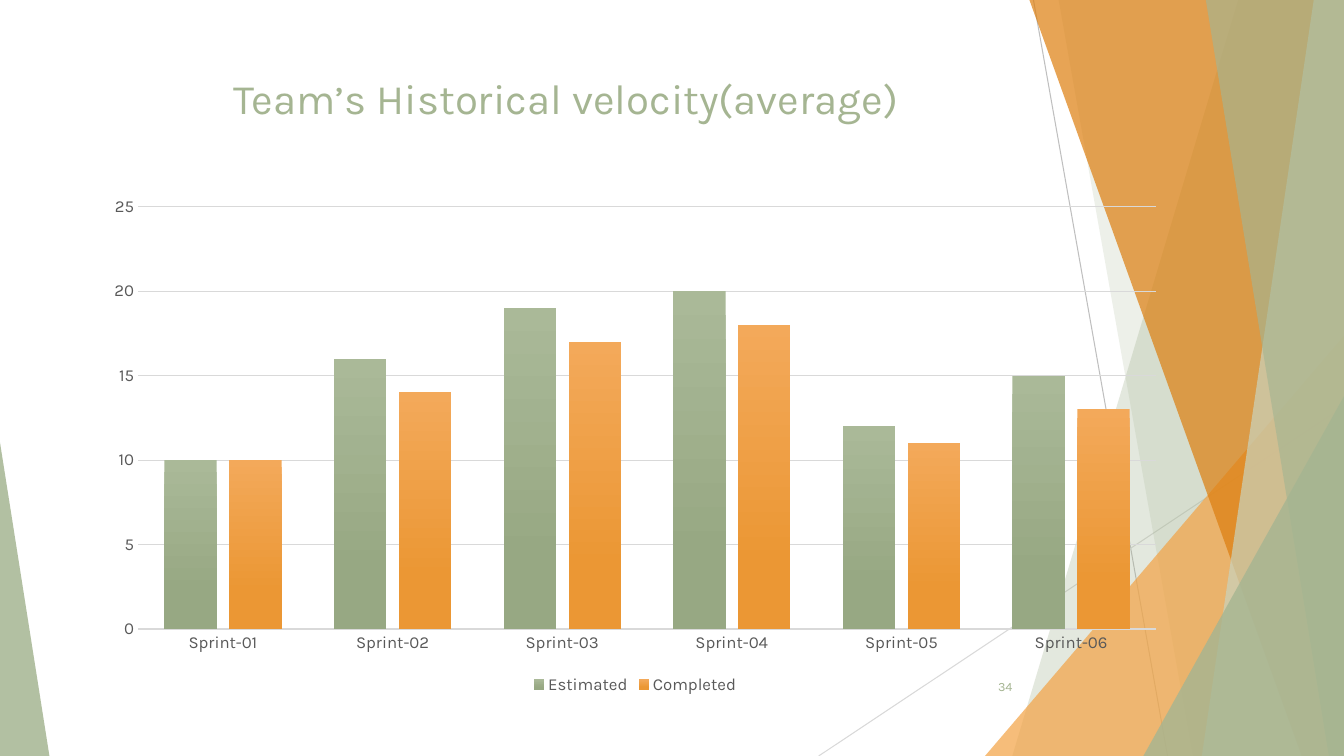
from lxml import etree
from pptx import Presentation
from pptx.chart.data import CategoryChartData
from pptx.dml.color import RGBColor
from pptx.enum import chart as ch, shapes, text
from pptx.oxml import ns
from pptx.util import Inches, Pt

FONT = "Karla"
HUES = {
    "sage": "A5B592", "mist": "C9D3BE", "amber": "F3A447", "rust": "DD7E0E",
    "gray": "BFBFBF", "pale": "D9D9D9", "ink": "595959",
}
SERIES = {
    "Estimated": ((10, 16, 19, 20, 12, 15), ("AAB998", "97A883")),
    "Completed": ((10, 14, 17, 18, 11, 13), ("F3A95A", "EB9734")),
}
WIDE, HIGH = 13.33, 7.5


def rgb(name):
    return RGBColor.from_string(HUES.get(name, name))


def style(font, size, hue):
    font.name, font.size = FONT, Pt(size)
    font.color.rgb = rgb(hue)


def paint(shape, hue, alpha):
    shape.shadow.inherit = False
    shape.fill.solid()
    shape.fill.fore_color.rgb = rgb(hue)
    shape.line.fill.background()
    color = shape.fill._xPr.find(".//" + ns.qn("a:srgbClr"))
    etree.SubElement(color, ns.qn("a:alpha"), val=str(alpha * 1000))


def add_ray(slide, start, end, hue):
    ends = [Inches(v) for v in (*start, *end)]
    ray = slide.shapes.add_connector(shapes.MSO_CONNECTOR.STRAIGHT, *ends)
    ray.line.color.rgb = rgb(hue)
    ray.line.width = Pt(0.75)
    etree.SubElement(ray._element.spPr, ns.qn("a:effectLst"))


def add_band(slide, top, foot, hue, alpha):
    build = slide.shapes.build_freeform(Inches(top), 0)
    edge = [(WIDE, 0), (WIDE, HIGH), (foot, HIGH)]
    build.add_line_segments([(Inches(x), Inches(y)) for x, y in edge])
    paint(build.convert_to_shape(), hue, alpha)


def add_wedge(slide, box, peak, hue, alpha):
    kind = shapes.MSO_SHAPE.ISOSCELES_TRIANGLE
    wedge = slide.shapes.add_shape(kind, *map(Inches, box))
    wedge.adjustments[0] = peak
    paint(wedge, hue, alpha)


def add_decor(slide):
    add_ray(slide, (10.25, 0), (11.58, HIGH), "gray")
    add_ray(slide, (WIDE, 4.03), (8.12, HIGH), "pale")
    add_band(slide, 12.28, 10.04, "sage", 30)
    add_band(slide, 10.5, 11.83, "sage", 20)
    add_wedge(slide, (9.77, 3.33, 3.56, 4.17), 1, "amber", 72)
    add_band(slide, 10.21, 12.91, "rust", 70)
    add_band(slide, 13.03, 11.92, "mist", 70)
    add_band(slide, 11.96, 13.18, "sage", 65)
    add_wedge(slide, (11.34, 3.93, 1.99, 3.57), 1, "sage", 80)
    add_wedge(slide, (0, 4.39, 0.49, 3.11), 0, "sage", 85)


def add_title(slide, box):
    title = slide.shapes.title
    title.left, title.top, title.width, title.height = map(Inches, box)
    frame = title.text_frame
    frame.text = "Team’s Historical velocity(average)"
    frame.word_wrap = True
    frame.auto_size = text.MSO_AUTO_SIZE.NONE
    frame.vertical_anchor = text.MSO_ANCHOR.TOP
    frame.margin_left = Inches(1.58)
    line = frame.paragraphs[0]
    line.alignment = text.PP_ALIGN.LEFT
    style(line.runs[0].font, 30, "sage")


def add_bars(slide, box):
    data = CategoryChartData()
    data.categories = [f"Sprint-{n:02}" for n in range(1, 7)]
    for name, (vals, _) in SERIES.items():
        data.add_series(name, vals)
    kind = ch.XL_CHART_TYPE.COLUMN_CLUSTERED
    chart = slide.shapes.add_chart(kind, *map(Inches, box), data).chart
    style(chart.font, 12, "ink")
    chart.has_title = False
    chart.has_legend = True
    chart.legend.position = ch.XL_LEGEND_POSITION.BOTTOM
    chart.legend.include_in_layout = False
    style(chart.legend.font, 12, "ink")

    plot = chart.plots[0]
    plot.gap_width, plot.overlap = 100, -24
    plot.vary_by_categories = False
    for series, (_, tones) in zip(plot.series, SERIES.values()):
        fill = series.format.fill
        fill.gradient()
        fill.gradient_angle = 270
        for stop, tone, place in zip(fill.gradient_stops, tones, (0, 0.78)):
            stop.color.rgb = rgb(tone)
            stop.position = place

    cat, val = chart.category_axis, chart.value_axis
    for axis in (cat, val):
        axis.major_tick_mark = ch.XL_TICK_MARK.NONE
        axis.minor_tick_mark = ch.XL_TICK_MARK.NONE
        style(axis.tick_labels.font, 12, "ink")
    cat.format.line.color.rgb = rgb("pale")
    cat.format.line.width = Pt(1)
    val.format.line.fill.background()
    val.minimum_scale, val.maximum_scale, val.major_unit = 0, 25, 5
    grid = val.major_gridlines.format.line
    grid.color.rgb = rgb("pale")
    grid.width = Pt(0.75)


def add_number(slide, box):
    frame = slide.shapes.add_textbox(*map(Inches, box)).text_frame
    frame.text = "34"
    frame.word_wrap = True
    frame.vertical_anchor = text.MSO_ANCHOR.MIDDLE
    line = frame.paragraphs[0]
    line.alignment = text.PP_ALIGN.RIGHT
    style(line.runs[0].font, 9, "sage")


def main():
    deck = Presentation()
    deck.slide_width, deck.slide_height = Inches(WIDE), Inches(HIGH)
    slide = deck.slides.add_slide(deck.slide_layouts[5])
    add_decor(slide)
    add_title(slide, (0.74, 0.67, 9.4, 1.44))
    add_bars(slide, (0.92, 1.85, 10.76, 5.08))
    add_number(slide, (9.39, 6.61, 0.75, 0.4))
    deck.save("out.pptx")


if __name__ == "__main__":
    main()
